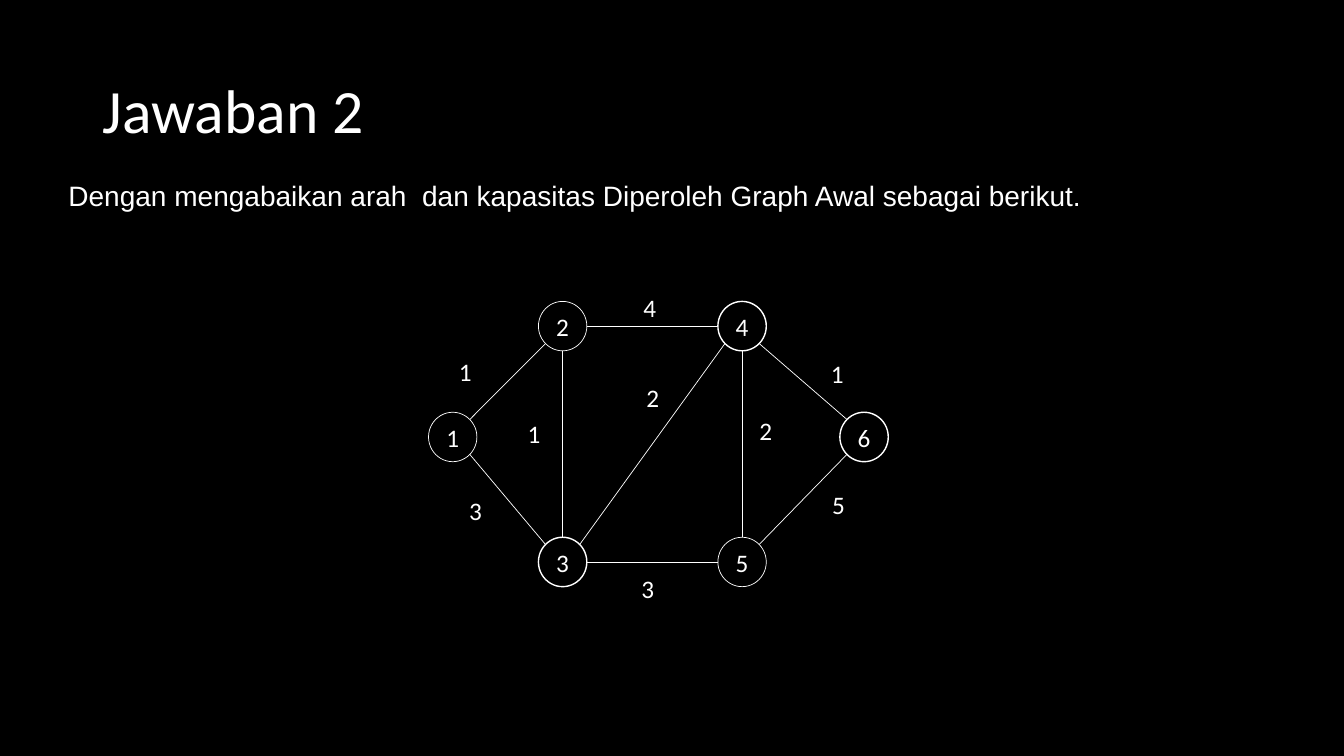
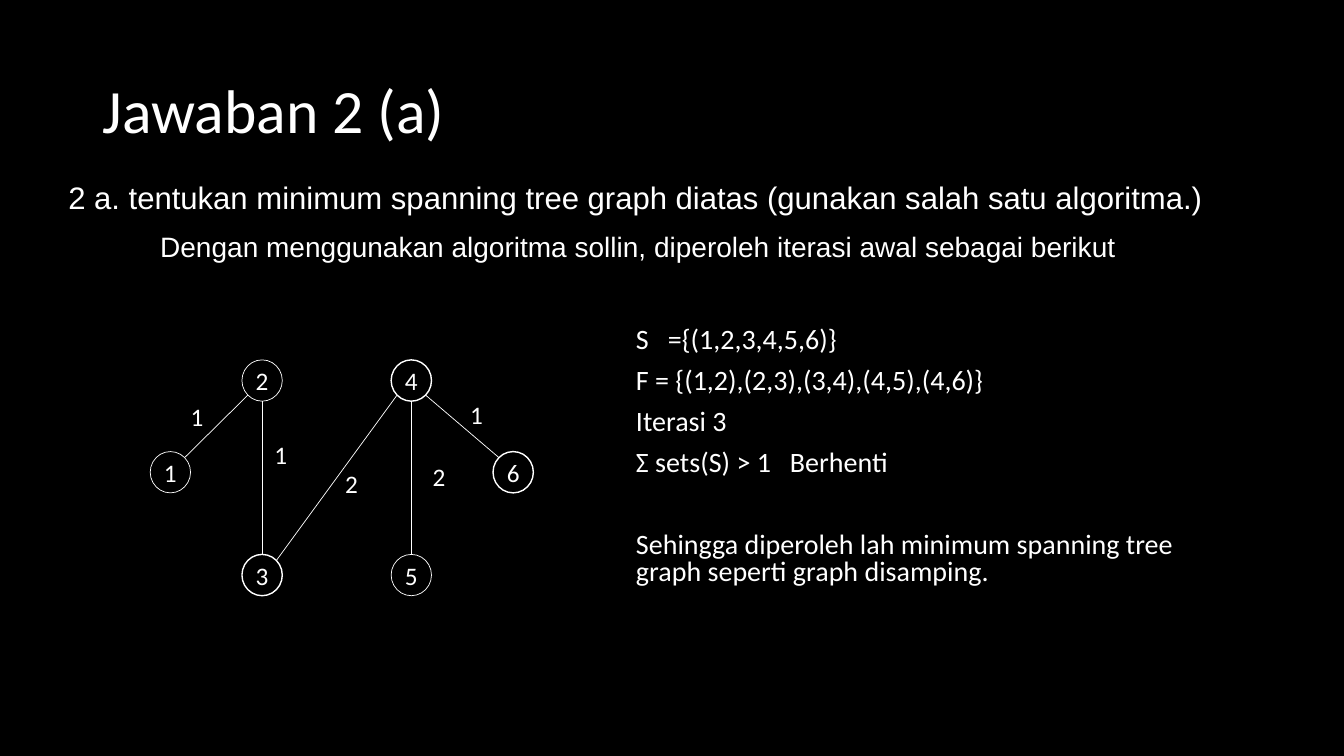
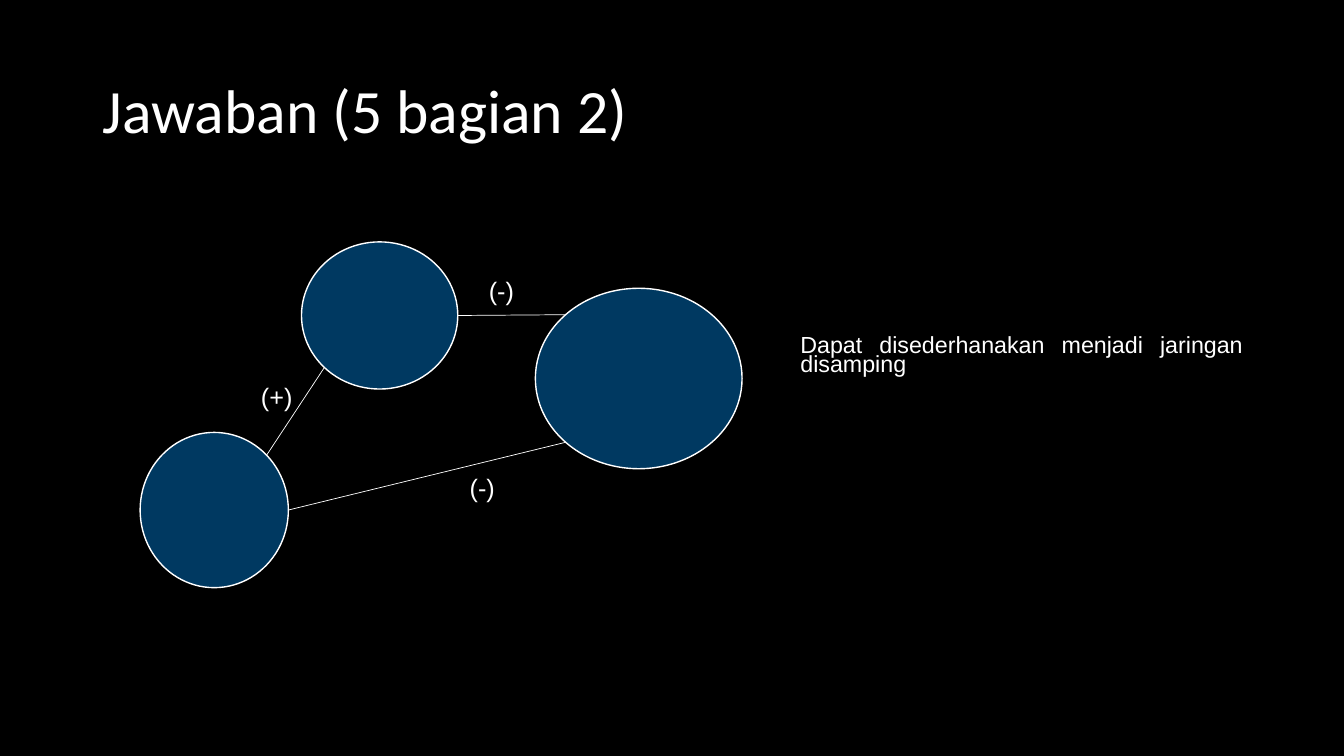
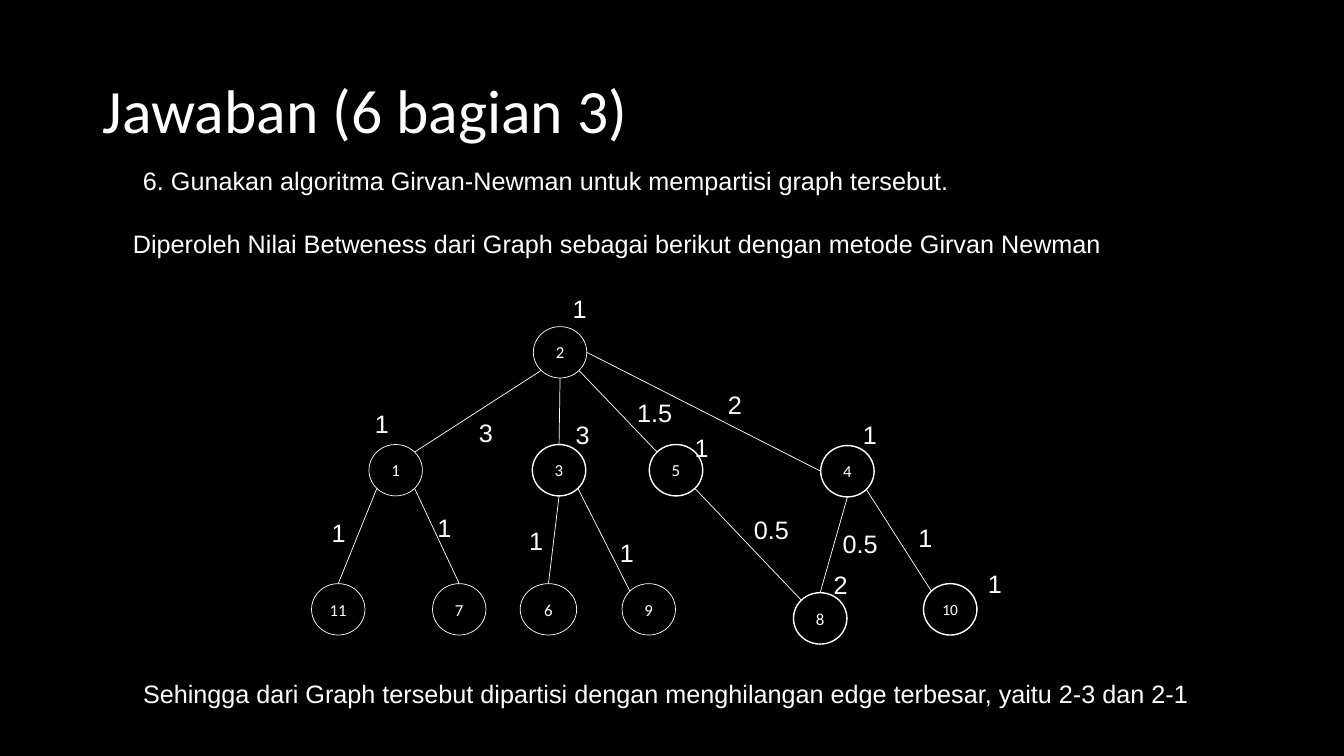
from dataclasses import dataclass
from enum import Enum

from lxml import etree
from pptx import Presentation
from pptx import util as u
from pptx.dml import color
from pptx.enum import shapes, text
from pptx.oxml import ns

EMU_PER_PX = 9144  # 100 px to the inch
BLACK, WHITE, BLUE = "000000", "FFFFFF", "0070C0"
HEADING_FONT, BODY_FONT = "Calibri", "Arial"
LEFT, CENTER, JUSTIFY = text.PP_ALIGN.LEFT, text.PP_ALIGN.CENTER, text.PP_ALIGN.JUSTIFY
TOP, MIDDLE = text.MSO_ANCHOR.TOP, text.MSO_ANCHOR.MIDDLE
THIN, THICK = 0.5, 1
DIAGONAL = 0.5 ** 0.5


class Site(Enum):
    """Point on an ellipse, as a direction from its centre."""
    TOP = (0, -1)
    BOTTOM = (0, 1)
    LEFT = (-1, 0)
    RIGHT = (1, 0)
    TOP_LEFT = (-DIAGONAL, -DIAGONAL)
    TOP_RIGHT = (DIAGONAL, -DIAGONAL)
    BOTTOM_LEFT = (-DIAGONAL, DIAGONAL)
    BOTTOM_RIGHT = (DIAGONAL, DIAGONAL)


@dataclass(frozen=True)
class Box:
    left: int
    top: int
    width: int
    height: int

    def emu(self) -> tuple[u.Emu, ...]:
        return tuple(px(n) for n in (self.left, self.top, self.width, self.height))

    def point(self, site: Site) -> tuple[u.Emu, u.Emu]:
        across, down = site.value
        return (px(self.left + self.width / 2 * (1 + across)),
                px(self.top + self.height / 2 * (1 + down)))


@dataclass(frozen=True)
class TextStyle:
    size: float = 18
    font: str = BODY_FONT
    align: text.PP_ALIGN = LEFT
    anchor: text.MSO_ANCHOR = TOP
    line_spacing: float = 1.0
    indent: int = 0
    margins: bool = True


@dataclass(frozen=True)
class Node:
    name: str
    box: Box
    line_width: float = THIN
    fill: str | None = None
    text_size: float = 18
    show_name: bool = True


@dataclass(frozen=True)
class Edge:
    start: str
    start_site: Site
    end: str
    end_site: Site


@dataclass(frozen=True)
class Label:
    content: str
    left: int
    top: int
    width: int
    height: int = 40


TITLE = TextStyle(44, HEADING_FONT, anchor=MIDDLE, line_spacing=0.9)
STATEMENT = TextStyle(20, align=JUSTIFY, line_spacing=0.9)
QUESTION = TextStyle(22.2, align=JUSTIFY, line_spacing=0.9)
STEPS = TextStyle(20, HEADING_FONT, line_spacing=0.8)
REMARK = TextStyle(16.6, align=JUSTIFY, line_spacing=0.7)
INDENTED = TextStyle(align=JUSTIFY, indent=30)
CENTERED_LABEL = TextStyle(18, HEADING_FONT, CENTER, MIDDLE, margins=False)
PLAIN_LABEL = TextStyle()


def px(length: float) -> u.Emu:
    return u.Emu(round(length * EMU_PER_PX))


def rgb(value: str) -> color.RGBColor:
    return color.RGBColor.from_string(value)


def write(shape, paragraphs: list[str], style: TextStyle, space_before: tuple[float, ...] = ()) -> None:
    frame = shape.text_frame
    frame.word_wrap = True
    frame.auto_size = text.MSO_AUTO_SIZE.NONE
    frame.vertical_anchor = style.anchor
    if not style.margins:
        frame.margin_left = frame.margin_right = frame.margin_top = frame.margin_bottom = 0
    for index, content in enumerate(paragraphs):
        paragraph = frame.add_paragraph() if index else frame.paragraphs[0]
        paragraph.alignment = style.align
        paragraph.line_spacing = style.line_spacing
        if index and space_before:
            paragraph.space_before = u.Pt(space_before[index - 1])
        if style.indent:
            properties = paragraph._p.get_or_add_pPr()
            properties.set("marL", str(px(style.indent)))
            properties.set("indent", "0")
        run = paragraph.add_run()
        run.text = content
        run.font.name = style.font
        run.font.size = u.Pt(style.size)
        run.font.color.rgb = rgb(WHITE)


def add_text(slide, box: Box, paragraphs: list[str], style: TextStyle,
             space_before: tuple[float, ...] = ()) -> None:
    write(slide.shapes.add_textbox(*box.emu()), paragraphs, style, space_before)


def add_titled_slide(presentation, title: str):
    slide = presentation.slides.add_slide(presentation.slide_layouts.get_by_name("Title Only"))
    shape = slide.shapes.title
    shape.left, shape.top, shape.width, shape.height = Box(92, 40, 1150, 145).emu()
    write(shape, [title], TITLE)
    return slide


def add_node(slide, node: Node) -> None:
    shape = slide.shapes.add_shape(shapes.MSO_SHAPE.OVAL, *node.box.emu())
    shape.shadow.inherit = False
    if node.fill:
        shape.fill.solid()
        shape.fill.fore_color.rgb = rgb(node.fill)
        tint = shape.element.spPr.find(f"{ns.qn('a:solidFill')}/{ns.qn('a:srgbClr')}")
        etree.SubElement(tint, ns.qn("a:alpha")).set("val", "51000")
    else:
        shape.fill.background()
    shape.line.color.rgb = rgb(WHITE)
    shape.line.width = u.Pt(node.line_width)
    if node.show_name:
        write(shape, [node.name],
              TextStyle(node.text_size, HEADING_FONT, CENTER, MIDDLE, margins=False))


def add_edge(slide, edge: Edge, boxes: dict[str, Box]) -> None:
    connector = slide.shapes.add_connector(
        shapes.MSO_CONNECTOR.STRAIGHT,
        *boxes[edge.start].point(edge.start_site), *boxes[edge.end].point(edge.end_site))
    connector.line.color.rgb = rgb(WHITE)
    connector.line.width = u.Pt(THIN)
    etree.SubElement(connector.element.spPr, ns.qn("a:effectLst"))


def add_graph(slide, nodes: list[Node], edges: list[Edge], labels: list[Label],
              label_style: TextStyle) -> None:
    boxes = {node.name: node.box for node in nodes}
    for node in nodes:
        add_node(slide, node)
    for edge in edges:
        add_edge(slide, edge, boxes)
    for label in labels:
        box = Box(label.left, label.top, label.width, label.height)
        add_text(slide, box, [label.content], label_style)


def hexagon_nodes(columns: tuple[int, ...], rows: tuple[int, ...], width: int, height: int) -> list[Node]:
    """Six numbered nodes on four columns and three rows."""
    cells = {"1": (0, 1), "2": (1, 0), "3": (1, 2), "4": (2, 0), "5": (2, 2), "6": (3, 1)}
    return [Node(name, Box(columns[column], rows[row], width, height),
                 THICK if name in "346" else THIN)
            for name, (column, row) in cells.items()]


TREE_EDGES = [
    Edge("1", Site.TOP_RIGHT, "2", Site.BOTTOM_LEFT),
    Edge("2", Site.BOTTOM, "3", Site.TOP),
    Edge("3", Site.TOP_RIGHT, "4", Site.BOTTOM_LEFT),
    Edge("4", Site.BOTTOM, "5", Site.TOP),
    Edge("4", Site.BOTTOM_RIGHT, "6", Site.TOP_LEFT),
]
OTHER_EDGES = [
    Edge("1", Site.BOTTOM_RIGHT, "3", Site.TOP_LEFT),
    Edge("2", Site.RIGHT, "4", Site.LEFT),
    Edge("3", Site.RIGHT, "5", Site.LEFT),
    Edge("6", Site.BOTTOM_LEFT, "5", Site.TOP_RIGHT),
]


def build_initial_graph(presentation) -> None:
    slide = add_titled_slide(presentation, "Jawaban 2")
    add_text(slide, Box(58, 176, 1052, 49),
             ["Dengan mengabaikan arah  dan kapasitas Diperoleh Graph Awal sebagai berikut."], STATEMENT)
    labels = [
        Label("1", 414, 350, 95, 37), Label("3", 437, 483, 69, 46), Label("4", 606, 280, 77, 49),
        Label("2", 607, 384, 81, 20), Label("3", 606, 559, 73, 49), Label("1", 787, 350, 87, 40),
        Label("5", 789, 483, 85, 35), Label("1", 482, 411, 95, 38), Label("2", 720, 413, 79, 28),
    ]
    nodes = hexagon_nodes((425, 534, 712, 833), (299, 409, 533), 48, 49)
    add_graph(slide, nodes, TREE_EDGES + OTHER_EDGES, labels, CENTERED_LABEL)


def build_spanning_tree(presentation) -> None:
    slide = add_titled_slide(presentation, "Jawaban 2 (a)")
    add_text(slide, Box(58, 176, 1150, 49),
             ["2 a. tentukan minimum spanning tree graph diatas (gunakan salah satu algoritma.)"], QUESTION)
    add_text(slide, Box(149, 227, 1008, 49),
             ["Dengan menggunakan algoritma sollin, diperoleh iterasi awal sebagai berikut"], STATEMENT)
    add_text(slide, Box(621, 321, 586, 287), [
        "S   ={(1,2,3,4,5,6)}",
        "F = {(1,2),(2,3),(3,4),(4,5),(4,6)}",
        "Iterasi 3",
        "Σ sets(S) > 1   Berhenti",
        "Sehingga diperoleh lah minimum spanning tree graph seperti graph disamping.",
    ], STEPS, space_before=(10, 10, 10, 39))
    places = [("1", 156, 398), ("1", 239, 436), ("2", 396, 458), ("1", 433, 396), ("2", 309, 465)]
    labels = [Label(content, left, top, 79, 30) for content, left, top in places]
    nodes = hexagon_nodes((149, 240, 388, 489), (357, 448, 550), 40, 41)
    add_graph(slide, nodes, TREE_EDGES, labels, CENTERED_LABEL)


def build_signed_network(presentation) -> None:
    slide = add_titled_slide(presentation, "Jawaban (5 bagian 2)")
    add_text(slide, Box(784, 330, 458, 52), ["Dapat disederhanakan menjadi jaringan disamping"], REMARK)
    groups = {
        "lower": Box(139, 429, 147, 154),
        "right": Box(531, 286, 205, 179),
        "upper": Box(299, 240, 155, 146),
    }
    nodes = [Node(name, box, THICK, BLUE, show_name=False) for name, box in groups.items()]
    edges = [
        Edge("lower", Site.TOP_RIGHT, "upper", Site.BOTTOM_LEFT),
        Edge("right", Site.TOP_LEFT, "upper", Site.RIGHT),
        Edge("right", Site.BOTTOM_LEFT, "lower", Site.RIGHT),
    ]
    labels = [Label("(+)", 249, 373, 64), Label("(-)", 475, 268, 64), Label("(-)", 456, 464, 64)]
    add_graph(slide, nodes, edges, labels, PLAIN_LABEL)


def build_betweenness(presentation) -> None:
    slide = add_titled_slide(presentation, "Jawaban (6 bagian 3)")
    add_text(slide, Box(102, 159, 1060, 40),
             ["6. Gunakan algoritma Girvan-Newman untuk mempartisi graph tersebut."], INDENTED)
    add_text(slide, Box(92, 222, 1036, 40),
             ["Diperoleh Nilai Betweness dari Graph sebagai berikut dengan metode Girvan Newman"], INDENTED)
    add_text(slide, Box(102, 668, 1109, 40),
             ["Sehingga dari Graph tersebut dipartisi dengan menghilangan edge terbesar, yaitu 2-3 dan 2-1"],
             INDENTED)
    places = {
        "2": (529, 324), "1": (366, 441), "3": (528, 441), "5": (644, 441), "4": (814, 442),
        "11": (309, 579), "7": (429, 579), "6": (516, 579), "9": (617, 579),
        "8": (787, 588), "10": (916, 579),
    }
    thick = {"3", "4", "5", "8", "10"}
    nodes = [Node(name, Box(left, top, 56 if name == "6" else 53, 51),
                  THICK if name in thick else THIN, text_size=11 if name == "10" else 12)
             for name, (left, top) in places.items()]
    edges = [
        Edge("1", Site.TOP_RIGHT, "2", Site.BOTTOM_LEFT),
        Edge("3", Site.TOP, "2", Site.BOTTOM),
        Edge("2", Site.BOTTOM_RIGHT, "5", Site.TOP_LEFT),
        Edge("2", Site.RIGHT, "4", Site.LEFT),
        Edge("11", Site.TOP, "1", Site.BOTTOM_LEFT),
        Edge("1", Site.BOTTOM_RIGHT, "7", Site.TOP),
        Edge("3", Site.BOTTOM, "6", Site.TOP),
        Edge("3", Site.BOTTOM_RIGHT, "9", Site.TOP_LEFT),
        Edge("5", Site.BOTTOM_RIGHT, "8", Site.TOP_LEFT),
        Edge("4", Site.BOTTOM, "8", Site.TOP),
        Edge("4", Site.BOTTOM_RIGHT, "10", Site.TOP_LEFT),
    ]
    node_labels = [
        Label("1", 558, 286, 55), Label("1", 362, 400, 55), Label("1", 679, 424, 55),
        Label("1", 846, 411, 55), Label("2", 817, 560, 55), Label("1", 970, 559, 55),
    ]
    edge_labels = [
        Label("3", 465, 409, 55), Label("3", 561, 411, 55), Label("1.5", 622, 389, 62),
        Label("2", 712, 381, 62), Label("1", 319, 508, 41), Label("1", 424, 503, 41),
        Label("1", 515, 516, 41), Label("1", 605, 528, 41), Label("0.5", 738, 505, 57),
        Label("0.5", 826, 519, 62), Label("1", 901, 513, 41),
    ]
    add_graph(slide, nodes, edges, node_labels + edge_labels, PLAIN_LABEL)


def main() -> None:
    presentation = Presentation()
    presentation.slide_width, presentation.slide_height = px(1333), px(750)
    background = presentation.slide_master.background.fill
    background.solid()
    background.fore_color.rgb = rgb(BLACK)
    for build in (build_initial_graph, build_spanning_tree, build_signed_network, build_betweenness):
        build(presentation)
    presentation.save("out.pptx")


if __name__ == "__main__":
    main()
